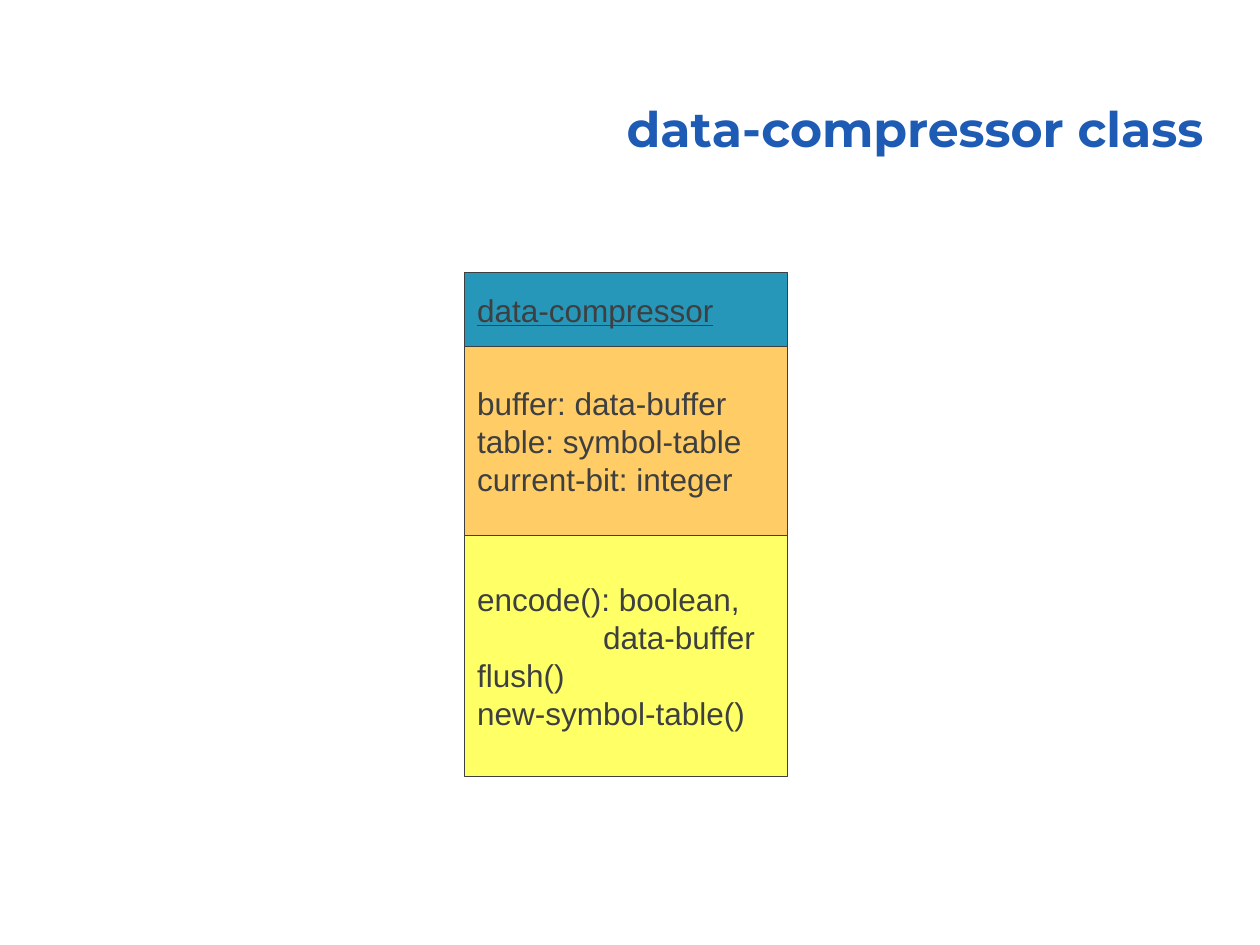
from lxml import etree
from pptx import Presentation
from pptx.dml.color import RGBColor
from pptx.enum.shapes import MSO_SHAPE
from pptx.enum.text import MSO_ANCHOR, MSO_AUTO_SIZE, PP_ALIGN
from pptx.oxml.ns import qn
from pptx.util import Cm, Pt

RECTANGLE = MSO_SHAPE.RECTANGLE
MIDDLE, BOTTOM = MSO_ANCHOR.MIDDLE, MSO_ANCHOR.BOTTOM
LEFT, RIGHT = PP_ALIGN.LEFT, PP_ALIGN.RIGHT
NO_AUTOFIT = MSO_AUTO_SIZE.NONE

TITLE_BLUE = RGBColor(0x1E, 0x5B, 0xB4)
INK = RGBColor(0x3D, 0x3F, 0x41)
NAME_TEAL = RGBColor(0x27, 0x97, 0xB9)
ATTRIBUTE_ORANGE = RGBColor(0xFF, 0xCC, 0x66)
OPERATION_YELLOW = RGBColor(0xFF, 0xFF, 0x66)

# Compartments of the class box: height, fill, lines, underlined
COMPARTMENTS = [
    (Cm(1.48), NAME_TEAL, ["data-compressor"], True),
    (Cm(3.81), ATTRIBUTE_ORANGE,
     ["buffer: data-buffer", "table: symbol-table", "current-bit: integer"], False),
    (Cm(4.87), OPERATION_YELLOW,
     ["encode(): boolean,", "\tdata-buffer", "flush()", "new-symbol-table()"], False),
]


def format_run(run, font_name, size, color):
    run.font.name = font_name
    run.font.size = size
    run.font.color.rgb = color


def add_tab_stop(paragraph, position):
    tab_list = etree.SubElement(paragraph._p.get_or_add_pPr(), qn("a:tabLst"))
    etree.SubElement(tab_list, qn("a:tab"), pos=str(position), algn="l")


def place_title(slide, left, top, width, height):
    title = slide.shapes.title
    title.left, title.top, title.width, title.height = left, top, width, height
    frame = title.text_frame
    frame.text = "data-compressor class"
    frame.auto_size = NO_AUTOFIT
    frame.vertical_anchor = BOTTOM
    paragraph = frame.paragraphs[0]
    paragraph.alignment = RIGHT
    paragraph.line_spacing = 0.9
    run = paragraph.runs[0]
    format_run(run, "Montserrat", Pt(28), TITLE_BLUE)
    run.font.bold = True


def add_compartment(slide, left, top, width, height, fill, lines, underlined):
    compartment = slide.shapes.add_shape(RECTANGLE, left, top, width, height)
    compartment.shadow.inherit = False
    compartment.fill.solid()
    compartment.fill.fore_color.rgb = fill
    compartment.line.color.rgb = INK
    compartment.line.width = Pt(0.75)
    frame = compartment.text_frame
    frame.word_wrap = True
    frame.vertical_anchor = MIDDLE
    frame.text = "\n".join(lines)
    for paragraph in frame.paragraphs:
        paragraph.alignment = LEFT
        add_tab_stop(paragraph, Cm(2.54))
        for run in paragraph.runs:
            format_run(run, "Arial", Pt(18), INK)
            if underlined:
                run.font.underline = True


def add_class_box(slide, left, top, width):
    # Stack the compartments without gaps
    for height, fill, lines, underlined in COMPARTMENTS:
        add_compartment(slide, left, top, width, height, fill, lines, underlined)
        top += height


def main():
    deck = Presentation()
    deck.slide_width, deck.slide_height = Cm(25.4), Cm(19.05)
    slide = deck.slides.add_slide(deck.slide_layouts[5])
    place_title(slide, Cm(7.47), Cm(1.35), Cm(17.04), Cm(1.96))
    add_class_box(slide, Cm(9.37), Cm(5.5), Cm(6.5))
    deck.save("out.pptx")


if __name__ == "__main__":
    main()
